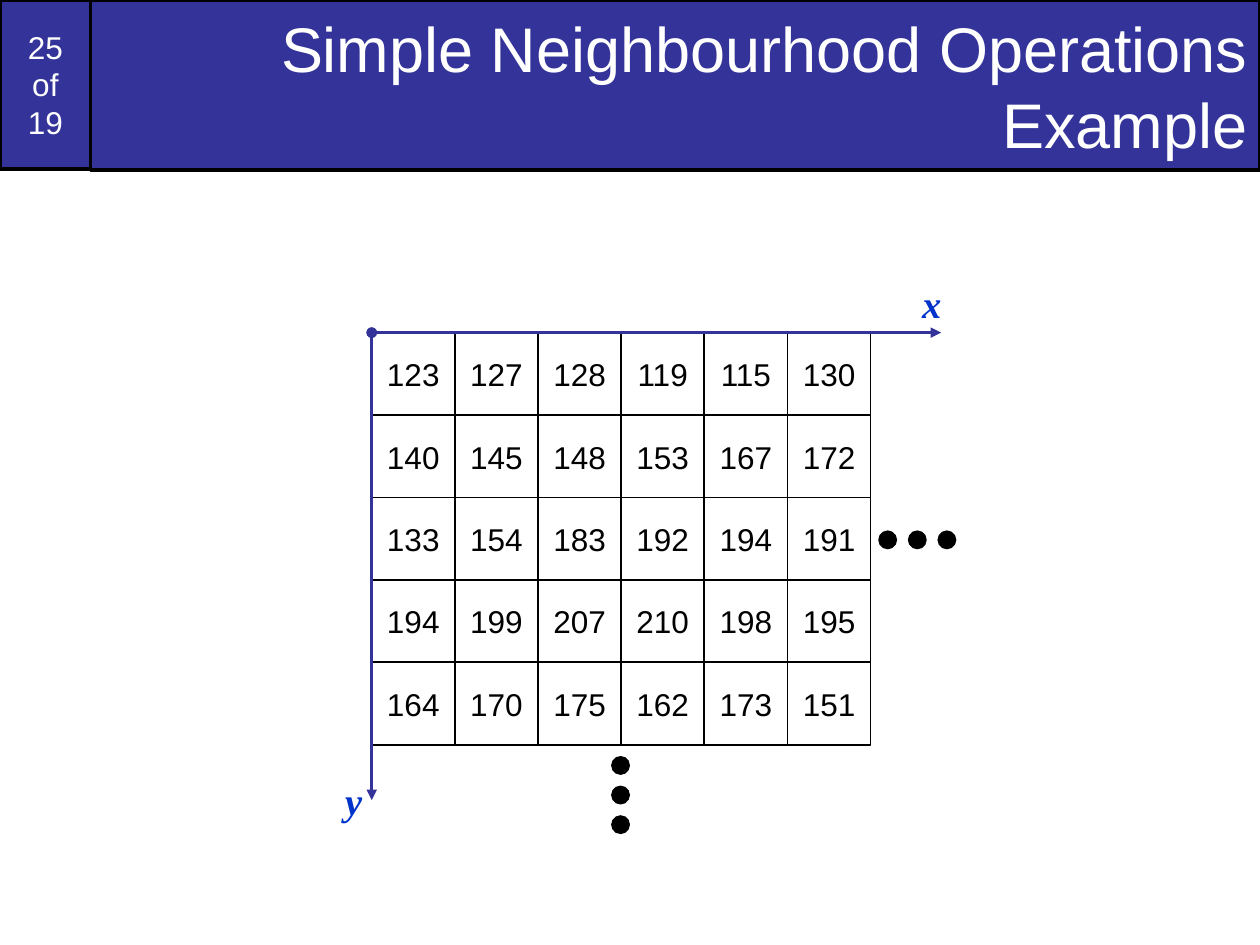
import dataclasses
import pptx
import pptx.dml.color
import pptx.enum.shapes
import pptx.enum.text
import pptx.oxml.ns
import pptx.util
from lxml import etree

inch = pptx.util.Inches
Kind = pptx.enum.shapes.MSO_SHAPE
Align = pptx.enum.text.PP_ALIGN
Anchor = pptx.enum.text.MSO_ANCHOR
qn = pptx.oxml.ns.qn

HUES = {"navy": "333399", "blue": "0033CC", "black": "000000", "white": "FFFFFF"}
WIDE, HIGH = 10, 7.5
LEFT, TOP = 2.95, 2.64
COL, ROW = 0.66, 3.27 / 5
SIDE = 0.66
DOT, STEP = 0.15, 0.235
VALUES = (
    (123, 127, 128, 119, 115, 130),
    (140, 145, 148, 153, 167, 172),
    (133, 154, 183, 192, 194, 191),
    (194, 199, 207, 210, 198, 195),
    (164, 170, 175, 162, 173, 151),
)


@dataclasses.dataclass
class Box:
    text: str
    x: float
    y: float
    w: float
    h: float
    fill: str = "white"
    ink: str = "black"
    edge: float = 1
    size: float = 18
    align: Align = Align.CENTER
    wrap: bool = False


@dataclasses.dataclass
class Axis:
    name: str
    x: float
    y: float
    left: float
    top: float
    width: float


@dataclasses.dataclass
class Trail:
    x: float
    y: float
    dx: float
    dy: float


def hue(name: str) -> pptx.dml.color.RGBColor:
    return pptx.dml.color.RGBColor.from_string(HUES[name])


def style(font, face: str, size: float, ink: str) -> None:
    font.name = face
    font.size = pptx.util.Pt(size)
    font.color.rgb = hue(ink)


def draw_box(slide, box: Box) -> None:
    shape = slide.shapes.add_shape(
        Kind.RECTANGLE, inch(box.x), inch(box.y), inch(box.w), inch(box.h))
    shape.shadow.inherit = False
    shape.fill.solid()
    shape.fill.fore_color.rgb = hue(box.fill)
    shape.line.color.rgb = hue("black")
    shape.line.width = pptx.util.Pt(box.edge)
    frame = shape.text_frame
    frame.word_wrap = box.wrap
    frame.vertical_anchor = Anchor.MIDDLE
    para = frame.paragraphs[0]
    para.text = box.text
    para.alignment = box.align
    style(para.font, "Arial", box.size, box.ink)


def draw_axis(slide, axis: Axis) -> None:
    line = slide.shapes.add_connector(
        pptx.enum.shapes.MSO_CONNECTOR.STRAIGHT,
        inch(LEFT), inch(TOP), inch(axis.x), inch(axis.y))
    line.line.color.rgb = hue("navy")
    line.line.width = pptx.util.Pt(2)
    pen = line.line._get_or_add_ln()
    etree.SubElement(pen, qn("a:headEnd"), type="oval")
    etree.SubElement(pen, qn("a:tailEnd"), type="triangle")
    etree.SubElement(line._element.spPr, qn("a:effectLst"))
    label = slide.shapes.add_textbox(
        inch(axis.left), inch(axis.top), inch(axis.width), inch(0.47))
    label.text_frame.word_wrap = False
    para = label.text_frame.paragraphs[0]
    para.text = axis.name
    style(para.font, "Times New Roman", 22, "blue")
    para.font.bold = para.font.italic = True


def draw_trail(slide, trail: Trail) -> None:
    for i in range(3):
        dot = slide.shapes.add_shape(
            Kind.OVAL, inch(trail.x + i * trail.dx), inch(trail.y + i * trail.dy),
            inch(DOT), inch(DOT))
        dot.shadow.inherit = False
        dot.fill.solid()
        dot.fill.fore_color.rgb = hue("black")
        dot.line.fill.background()


def main() -> None:
    deck = pptx.Presentation()
    deck.slide_width, deck.slide_height = inch(WIDE), inch(HIGH)
    slide = deck.slides.add_slide(deck.slide_layouts[6])
    page = 0.072 * WIDE
    band = 0.18 * HIGH
    draw_box(slide, Box("25\nof\n19", 0, 0, page, band - 0.01,
                        "navy", "white", 2, wrap=True))
    draw_box(slide, Box("Simple Neighbourhood Operations Example", page, 0,
                        WIDE - page, band, "navy", "white", 2, 36,
                        Align.RIGHT, True))
    for r, row in enumerate(VALUES):
        for c, value in enumerate(row):
            draw_box(slide, Box(str(value), LEFT + c * COL, TOP + r * ROW, SIDE, SIDE))
    for axis in (Axis("x", 7.47, TOP, 7.22, 2.17, 0.35),
                 Axis("y", LEFT, 6.35, 2.64, 6.12, 0.33)):
        draw_axis(slide, axis)
    for trail in (Trail(6.97, 4.21, STEP, 0), Trail(4.85, 6, 0, STEP)):
        draw_trail(slide, trail)
    deck.save("out.pptx")


if __name__ == "__main__":
    main()
